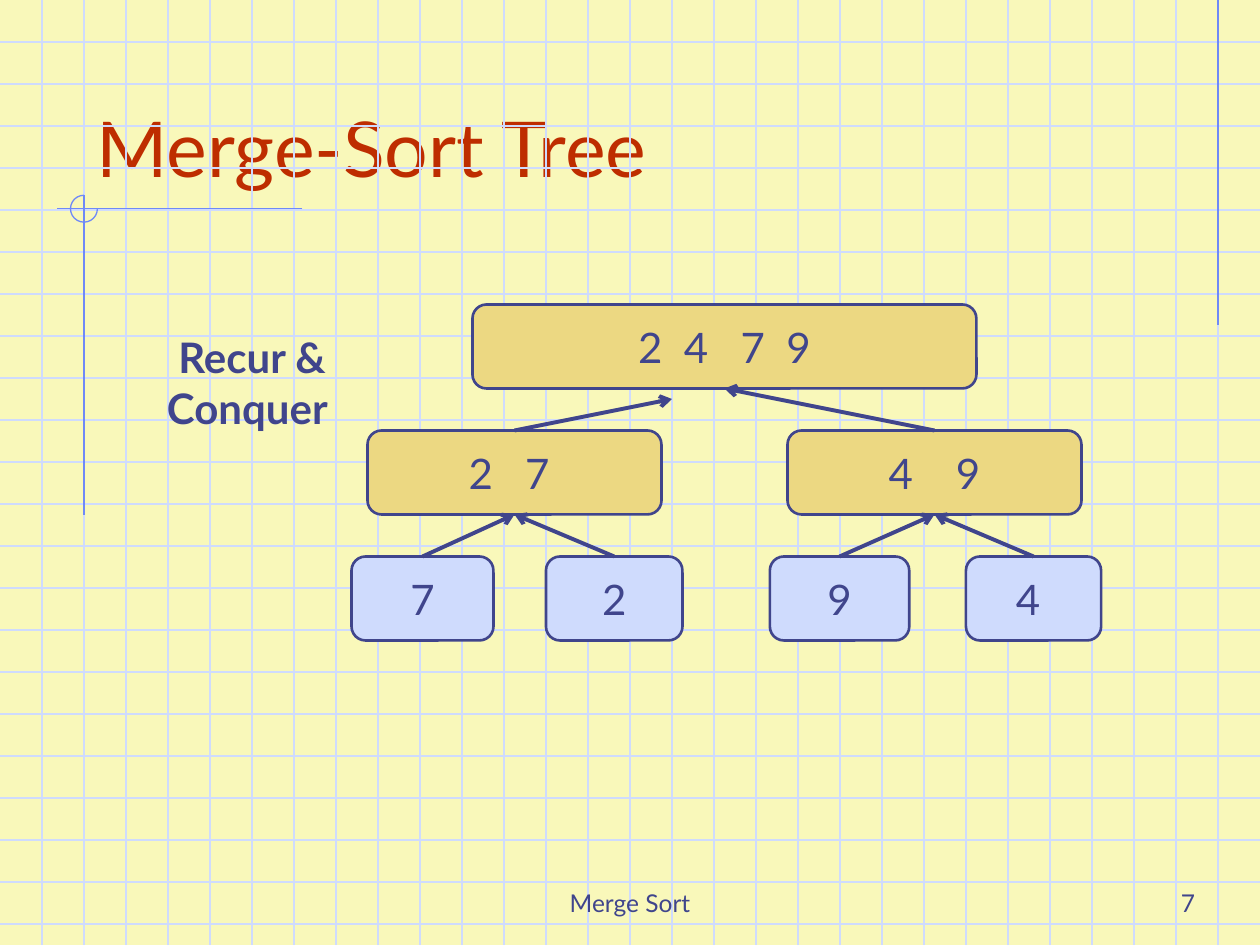
from dataclasses import dataclass

from pptx import Presentation, util as u
from pptx.dml.color import RGBColor
from pptx.enum import shapes, text
from pptx.oxml.ns import qn
from lxml import etree

COLUMNS, ROWS = 30, 22.5  # squares of the graph paper


@dataclass(frozen=True)
class Theme:
    font: str = "Lato"
    paper: str = "F9F8BA"
    grid: str = "CFDBFD"
    ornament: str = "6F89F7"
    ink: str = "40458C"
    heading: str = "BE2D00"
    merged: str = "ECD882"
    leaf: str = "CFDBFD"
    title_size: float = 44
    node_size: float = 24
    footer_size: float = 14
    thin: float = 0.75
    outline: float = 1.5
    arrow: float = 2.25


class GraphPaperSlide:
    """Places elements by columns and rows of the graph paper."""

    def __init__(self, presentation, theme):
        self.theme = theme
        self.square = presentation.slide_width / COLUMNS
        self.slide = presentation.slides.add_slide(presentation.slide_layouts[5])
        background = self.slide.background.fill
        background.solid()
        background.fore_color.rgb = RGBColor.from_string(theme.paper)

    def lengths(self, *squares):
        return [u.Emu(round(value * self.square)) for value in squares]

    def set_words(self, shape, words, size, color, align, anchor, wrap=True, bold=False):
        frame = shape.text_frame
        frame.text = words
        frame.word_wrap = wrap
        frame.auto_size = text.MSO_AUTO_SIZE.NONE
        frame.vertical_anchor = anchor
        paragraph = frame.paragraphs[0]
        paragraph.alignment = align
        for run in paragraph.runs:
            run.font.name = self.theme.font
            run.font.size = u.Pt(size)
            run.font.bold = bold
            run.font.color.rgb = RGBColor.from_string(color)

    def title(self, words, left, top, width, height):
        shape = self.slide.shapes.title
        shape.left, shape.top, shape.width, shape.height = self.lengths(
            left, top, width, height)
        self.set_words(shape, words, self.theme.title_size, self.theme.heading,
                       text.PP_ALIGN.LEFT, text.MSO_ANCHOR.BOTTOM)

    def label(self, words, left, top, width, height, size, align, anchor, bold=False):
        shape = self.slide.shapes.add_textbox(*self.lengths(left, top, width, height))
        self.set_words(shape, words, size, self.theme.ink, align, anchor, bold=bold)

    def line(self, start, end, color, width):
        connector = self.slide.shapes.add_connector(
            shapes.MSO_CONNECTOR.STRAIGHT, *self.lengths(*start, *end))
        connector.line.color.rgb = RGBColor.from_string(color)
        connector.line.width = u.Pt(width)
        etree.SubElement(connector._element.spPr, qn("a:effectLst"))
        return connector

    def arc(self, left, top, size):
        shape = self.slide.shapes.add_shape(
            shapes.MSO_SHAPE.ARC, *self.lengths(left, top, size, size))
        shape.adjustments[0] = 0
        shape.adjustments[1] = 162  # 270 degrees
        shape.fill.background()
        shape.line.color.rgb = RGBColor.from_string(self.theme.ornament)
        shape.line.width = u.Pt(self.theme.thin)
        shape.shadow.inherit = False

    def node(self, words, left, top, width, fill):
        shape = self.slide.shapes.add_shape(
            shapes.MSO_SHAPE.ROUNDED_RECTANGLE, *self.lengths(left, top, width, 2))
        shape.shadow.inherit = False
        shape.fill.solid()
        shape.fill.fore_color.rgb = RGBColor.from_string(fill)
        shape.line.color.rgb = RGBColor.from_string(self.theme.ink)
        shape.line.width = u.Pt(self.theme.outline)
        self.set_words(shape, words, self.theme.node_size, self.theme.ink,
                       text.PP_ALIGN.CENTER, text.MSO_ANCHOR.MIDDLE, wrap=False)
        return shape

    def arrow(self, child, parent=None, tip=(0, 0)):
        connector = self.line((0, 0), tip, self.theme.ink, self.theme.arrow)
        connector.begin_connect(child, 0)
        if parent is not None:
            connector.end_connect(parent, 2)
        outline = connector.line._get_or_add_ln()
        etree.SubElement(outline, qn("a:tailEnd"), type="arrow")


def main():
    theme = Theme()
    presentation = Presentation()
    presentation.slide_width = u.Inches(10)
    presentation.slide_height = u.Inches(7.5)
    page = GraphPaperSlide(presentation, theme)
    center, right = text.PP_ALIGN.CENTER, text.PP_ALIGN.RIGHT
    top, bottom = text.MSO_ANCHOR.TOP, text.MSO_ANCHOR.BOTTOM

    # Graph paper
    for row in range(1, int(ROWS) + 1):
        page.line((0, row), (COLUMNS, row), theme.grid, theme.thin)
    for column in range(1, COLUMNS):
        page.line((column, 0), (column, ROWS), theme.grid, theme.thin)

    # Corner ornaments
    for start, end in [((29, 0), (29, 7.75)),
                       ((7.2, 4.97), (1.36, 4.97)),
                       ((2, 4.65), (2, 12.27))]:
        page.line(start, end, theme.ornament, theme.thin)
    page.arc(1.68, 4.65, 0.64)

    # Title and footer
    page.title("Merge-Sort Tree", 2, 1, 25.5, 3.75)
    page.label("Merge Sort", 10.25, 20.5, 9.5, 1.5, theme.footer_size, center, bottom)
    page.label("7", 22.5, 20.5, 6.25, 1.5, theme.footer_size, right, bottom)

    # Tree nodes
    root = page.node("2  4   7  9", 11.25, 7.25, 12, theme.merged)
    halves = [page.node(words, left, 10.25, 7, theme.merged)
              for words, left in [("2   7 ", 8.75), ("4    9", 18.75)]]
    leaves = [page.node(words, left, 13.25, width, theme.leaf)
              for words, left, width in [("7", 8.37, 3.38), ("2", 13, 3.25),
                                         ("9", 18.33, 3.32), ("4 ", 23, 3.22)]]

    # Arrows from each part to its merged result
    page.arrow(halves[0], tip=(16, 9.5))
    page.arrow(halves[1], root)
    for index, leaf in enumerate(leaves):
        page.arrow(leaf, halves[index // 2])

    # Step name
    page.label("Recur & Conquer ", 2, 7.75, 8, 2.7, theme.node_size, center, top, bold=True)

    presentation.save("out.pptx")


if __name__ == "__main__":
    main()
